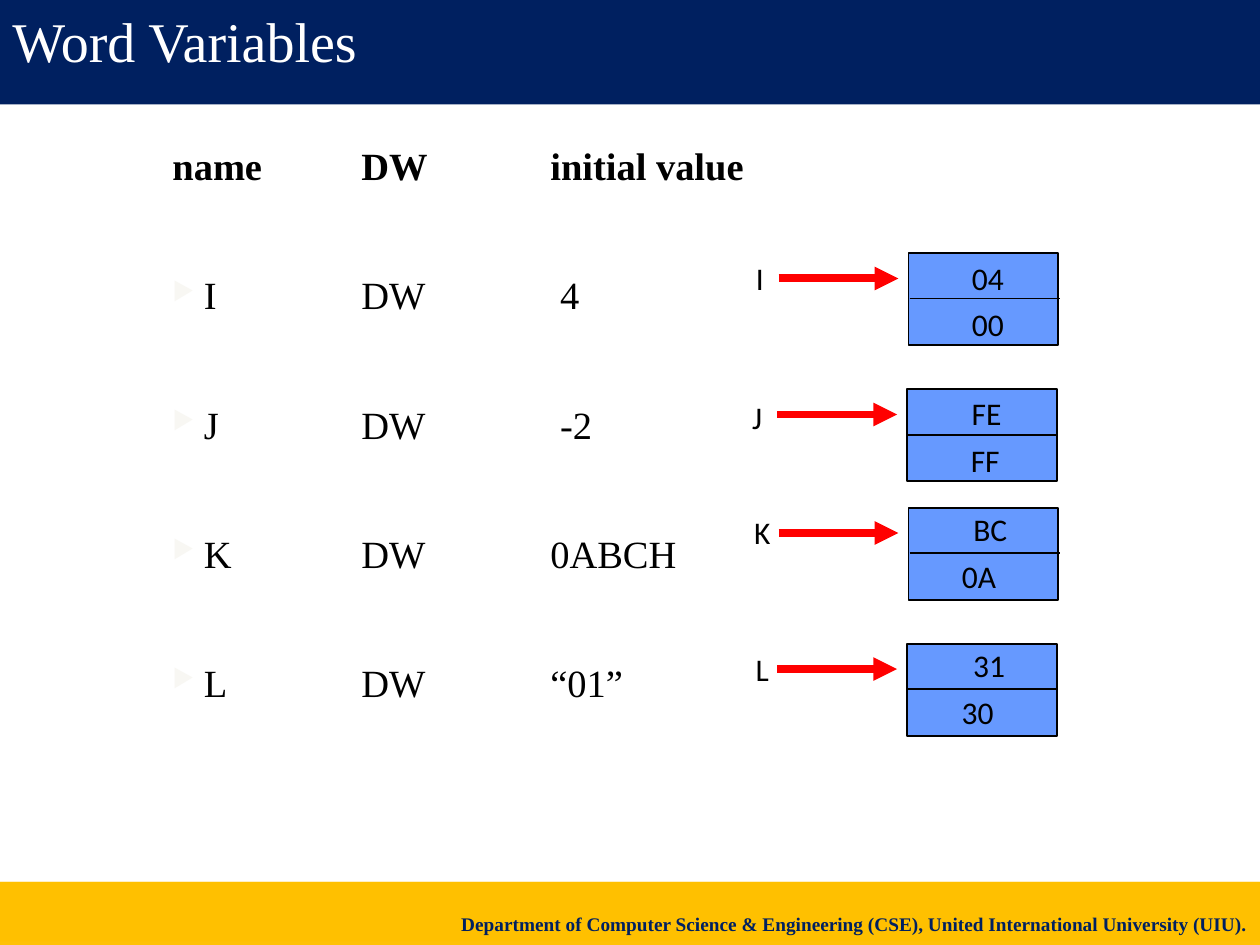
import pptx
import pptx.util
from pptx.dml.color import RGBColor
from pptx.enum.shapes import MSO_CONNECTOR, MSO_SHAPE
from pptx.enum.text import MSO_ANCHOR, PP_ALIGN
from pptx.oxml import parse_xml
from pptx.oxml.ns import nsdecls, qn
from pptx.util import Inches
from lxml import etree

NAVY = RGBColor(0x00, 0x20, 0x60)
GOLD = RGBColor(0xFF, 0xC0, 0x00)
BLUE = RGBColor(0x66, 0x99, 0xFF)
RED = RGBColor(0xFF, 0x00, 0x00)
BLACK = RGBColor(0x00, 0x00, 0x00)
WHITE = RGBColor(0xFF, 0xFF, 0xFF)
SERIF, SANS = "Times New Roman", "Calibri"


class Deck:
    def __init__(self):
        self.prs = pptx.Presentation()
        self.prs.slide_width, self.prs.slide_height = Inches(10), Inches(7.5)
        self.s = self.prs.slides.add_slide(self.prs.slide_layouts[6])
        self.shapes = self.s.shapes

    def group(self):
        """Send the following elements to a new group."""
        self.shapes = self.s.shapes.add_group_shape().shapes

    def style(self, p, size, font, color, bold=False):
        for r in p.runs:
            r.font.size, r.font.name = pptx.util.Pt(size), font
            r.font.color.rgb, r.font.bold = color, bold

    def rect(self, x, y, w, h, fill, line=None, alpha=None):
        sp = self.shapes.add_shape(MSO_SHAPE.RECTANGLE, Inches(x), Inches(y),
                                   Inches(w), Inches(h))
        sp.shadow.inherit = False
        sp.fill.solid()
        sp.fill.fore_color.rgb = fill
        if alpha:
            clr = sp.fill._xPr.find(".//" + qn("a:srgbClr"))
            etree.SubElement(clr, qn("a:alpha")).set("val", str(alpha * 1000))
        if line is None:
            sp.line.fill.background()
        else:
            sp.line.color.rgb, sp.line.width = line, pptx.util.Pt(1)
        return sp

    def caption(self, sp, text, size, color, align, anchor, bold=False):
        tf = sp.text_frame
        tf.text, tf.word_wrap, tf.vertical_anchor = text, True, anchor
        tf.paragraphs[0].alignment = align
        self.style(tf.paragraphs[0], size, SERIF, color, bold)

    def label(self, cx, y, text, w=0.6):
        sp = self.shapes.add_textbox(Inches(cx - w / 2), Inches(y), Inches(w), Inches(0.4))
        tf = sp.text_frame
        tf.text, tf.word_wrap, tf.vertical_anchor = text, False, MSO_ANCHOR.MIDDLE
        tf.paragraphs[0].alignment = PP_ALIGN.CENTER
        self.style(tf.paragraphs[0], 18, SANS, BLACK)

    def line(self, x1, x2, y, color, width, arrow=False):
        sp = self.shapes.add_connector(MSO_CONNECTOR.STRAIGHT, Inches(x1), Inches(y),
                                       Inches(x2), Inches(y))
        sp.line.color.rgb, sp.line.width = color, pptx.util.Pt(width)
        if arrow:
            etree.SubElement(sp.line._get_or_add_ln(), qn("a:tailEnd")).set("type", "triangle")
        etree.SubElement(sp._element.spPr, qn("a:effectLst"))

    def declarations(self, x, y, w, h, lines):
        """Heading line followed by bulleted lines, aligned on half-inch tabs."""
        tf = self.shapes.add_textbox(Inches(x), Inches(y), Inches(w), Inches(h)).text_frame
        tf.word_wrap = True
        for i, text in enumerate(lines):
            p = tf.paragraphs[0] if i == 0 else tf.add_paragraph()
            p.text = text
            pPr = p._p.get_or_add_pPr()
            pPr.set("marL", str(Inches(1.25 if i else 0.5)))
            pPr.set("indent", str(Inches(-0.25 if i else 0)))
            pPr.set("defTabSz", str(Inches(0.5)))
            if i:
                for xml in ('<a:buClr %s><a:srgbClr val="F8F7F3"/></a:buClr>',
                            '<a:buSzPct %s val="65000"/>',
                            '<a:buChar %s char="▶"/>'):
                    pPr.append(parse_xml(xml % nsdecls("a")))
                p.space_before = pptx.util.Pt(47.4)
            self.style(p, 22, SERIF, BLACK, bold=i == 0)


def main():
    d = Deck()

    # Title band
    title = d.rect(0, 0, 10, 0.83, NAVY)
    d.caption(title, "Word Variables", 32, WHITE, PP_ALIGN.LEFT, MSO_ANCHOR.TOP)

    # Declarations
    d.declarations(0.27, 1.08, 9.48, 5.75, [
        "\tname\t\tDW\t\tinitial value",
        "I \t\t\tDW\t\t 4",
        "J \t\t\tDW\t\t -2",
        "K \t\tDW \t\t0ABCH",
        "L\t\t \tDW \t\t“01”",
    ])

    # Memory words: box left and top, then (text, centre x, top) of name and bytes
    words = [
        (7.21, 2.01, ("I", 6.03, 2.01), ("04", 7.84, 2.01), ("00", 7.84, 2.37)),
        (7.2, 3.09, ("J", 6.01, 3.11), ("FE", 7.83, 3.08), ("FF", 7.82, 3.45)),
        (7.21, 4.03, ("K", 6.05, 4.02), ("BC", 7.86, 4), ("0A", 7.77, 4.37)),
        (7.2, 5.11, ("L", 6.05, 5.11), ("31", 7.85, 5.08), ("30", 7.76, 5.45)),
    ]
    for x, y, *labels in words:
        d.group()
        d.rect(x, y, 1.19, 0.73, BLUE, BLACK)
        d.line(x + 0.01, x + 1.2, y + 0.36, BLACK, 1)
        d.line(x - 1.03, x - 0.08, y + 0.2, RED, 4.5, arrow=True)
        for text, cx, top in labels:
            d.label(cx, top, text)

    # Footer band
    d.group()
    d.rect(0, 7, 10, 0.5, GOLD, alpha=98)
    footer = d.rect(0, 7, 10, 0.47, GOLD, alpha=98)
    d.caption(footer, "Department of Computer Science & Engineering (CSE), "
              "United International University (UIU).",
              11, NAVY, PP_ALIGN.RIGHT, MSO_ANCHOR.BOTTOM, bold=True)

    d.prs.save("out.pptx")


if __name__ == "__main__":
    main()
